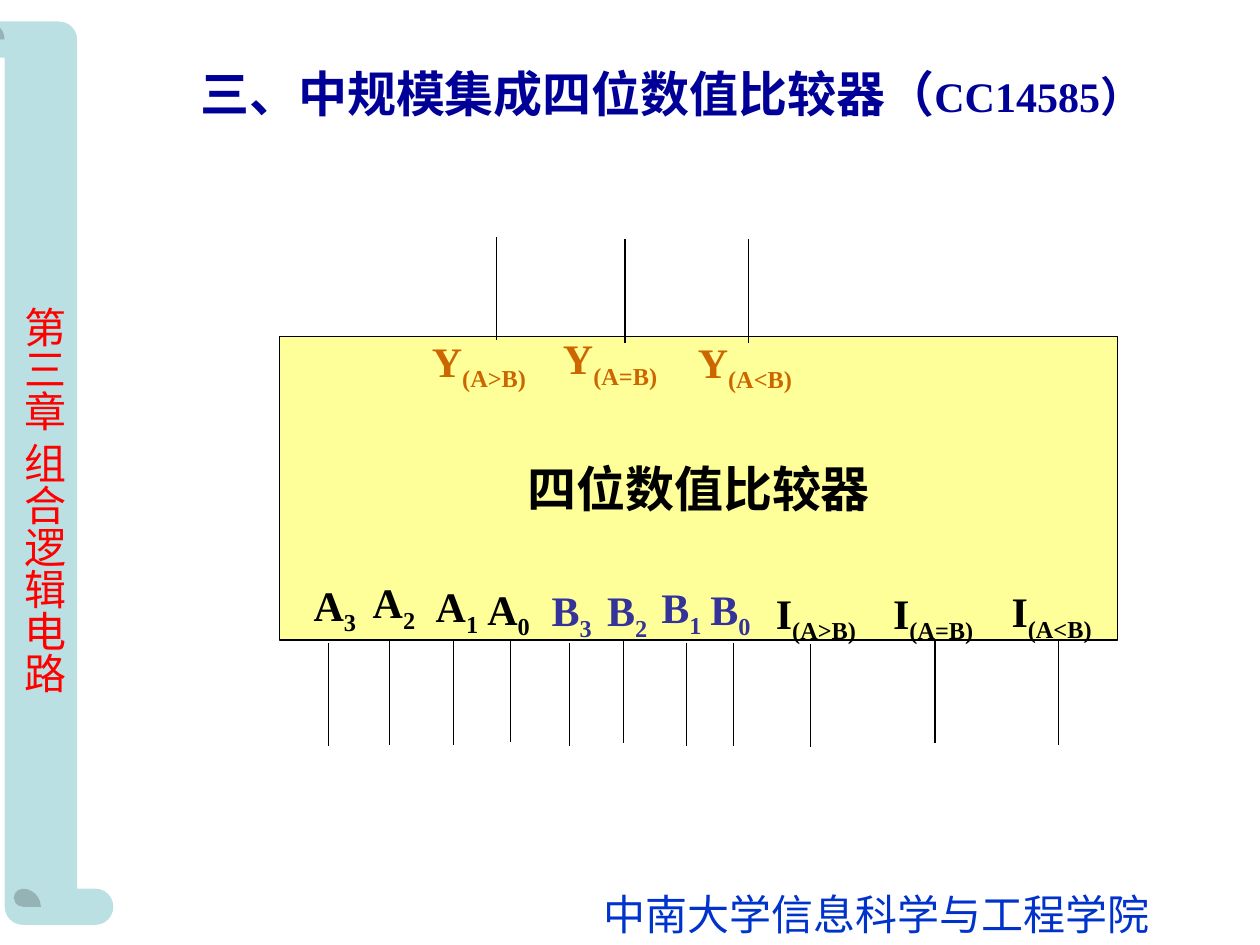
from collections import namedtuple
from dataclasses import dataclass

from pptx import Presentation
from pptx import util as u
from pptx.dml.color import RGBColor
from pptx.enum import shapes, text
from pptx.oxml.ns import qn
from lxml import etree

Box = namedtuple("Box", "left top width height")
Pin = namedtuple("Pin", "letter index label_x label_y lead_x lead_y")


@dataclass(frozen=True)
class Theme:
    latin: str = "Times New Roman"
    cjk: str = "Noto Sans CJK SC"
    scroll: str = "BBE0E3"
    chapter: str = "FF0000"
    school: str = "0033CC"
    title: str = "000099"
    block: str = "FFFF99"
    ink: str = "000000"
    b_input: str = "333399"
    output: str = "CC6600"
    large: int = 28
    normal: int = 24
    line: float = 0.75


THEME = Theme()
PIN_COLOURS = {"A": THEME.ink, "B": THEME.b_input, "I": THEME.ink, "Y": THEME.output}
LEAD_LENGTH = 0.82

# Offsets from the left and bottom edges of the block
INPUTS = [
    Pin("A", "3", 0.17, -0.53, 0.39, 0.02),
    Pin("A", "2", 0.64, -0.55, 0.87, 0.01),
    Pin("A", "1", 1.14, -0.52, 1.38, 0.01),
    Pin("A", "0", 1.55, -0.50, 1.83, -0.01),
    Pin("B", "3", 2.06, -0.49, 2.30, 0.02),
    Pin("B", "2", 2.50, -0.49, 2.73, 0),
    Pin("B", "1", 2.93, -0.51, 3.23, 0.02),
    Pin("B", "0", 3.32, -0.50, 3.60, 0.02),
    Pin("I", "(A>B)", 3.84, -0.47, 4.21, 0.03),
    Pin("I", "(A=B)", 4.77, -0.47, 5.20, 0),
    Pin("I", "(A<B)", 5.71, -0.48, 6.18, 0.01),
]
# Offsets from the left and top edges of the block
OUTPUTS = [
    Pin("Y", "(A>B)", 1.11, -0.06, 1.72, -0.79),
    Pin("Y", "(A=B)", 2.15, -0.08, 2.74, -0.77),
    Pin("Y", "(A<B)", 3.22, -0.05, 3.72, -0.77),
]


def inches(box):
    return [u.Inches(value) for value in box]


def add_run(paragraph, words, size, colour, bold=False, latin=THEME.latin):
    run = paragraph.add_run()
    run.text = words
    run.font.name = latin
    run.font.size = u.Pt(size)
    run.font.bold = bold
    run.font.color.rgb = RGBColor.from_string(colour)
    east_asian = etree.Element(qn("a:ea"), typeface=THEME.cjk)
    run.font._element.find(qn("a:latin")).addnext(east_asian)
    return run


def add_label(slide, box, wrap=True):
    """Add an empty text box and return its frame."""
    frame = slide.shapes.add_textbox(*inches(box)).text_frame
    frame.word_wrap = wrap
    frame.auto_size = text.MSO_AUTO_SIZE.SHAPE_TO_FIT_TEXT
    return frame


def add_chapter_band(slide, box):
    # The scroll is drawn lying down, then turned upright about its centre
    turned = Box(box.left + (box.width - box.height) / 2,
                 box.top + (box.height - box.width) / 2,
                 box.height, box.width)
    scroll = slide.shapes.add_shape(shapes.MSO_SHAPE.HORIZONTAL_SCROLL, *inches(turned))
    scroll.rotation = 270
    scroll.adjustments[0] = 0.25
    scroll.shadow.inherit = False
    scroll.fill.solid()
    scroll.fill.fore_color.rgb = RGBColor.from_string(THEME.scroll)
    scroll.line.fill.background()

    # Vertical chapter name
    chapter = add_label(slide, Box(0, box.top + 2.16, 0.6, 3.27), wrap=False)
    chapter.margin_left = chapter.margin_right = u.Inches(0.05)
    chapter.margin_top = chapter.margin_bottom = u.Inches(0.1)
    chapter._txBody.bodyPr.set("vert", "eaVert")
    add_run(chapter.paragraphs[0], "第三章 组合逻辑电路", THEME.normal, THEME.chapter,
            latin=THEME.cjk)


def add_school(slide, box):
    school = add_label(slide, box, wrap=False)
    add_run(school.paragraphs[0], "中南大学信息科学与工程学院", THEME.normal, THEME.school)


def add_title(slide, box):
    title = slide.shapes.title
    title.left, title.top, title.width, title.height = inches(box)
    frame = title.text_frame
    frame.word_wrap = True
    frame.auto_size = text.MSO_AUTO_SIZE.NONE
    frame.vertical_anchor = text.MSO_ANCHOR.TOP
    heading = frame.paragraphs[0]
    heading.alignment = text.PP_ALIGN.LEFT
    heading.space_before = u.Pt(0)
    add_run(heading, "三、中规模集成四位数值比较器（", THEME.large, THEME.title, bold=True)
    add_run(heading, "CC14585）", THEME.normal, THEME.title, bold=True)


def add_pin(slide, pin, left, edge):
    """Draw one lead and its label against a horizontal edge of the block."""
    x, y = left + pin.lead_x, edge + pin.lead_y
    lead = slide.shapes.add_connector(
        shapes.MSO_CONNECTOR.STRAIGHT, *inches((x, y, x, y + LEAD_LENGTH)))
    lead.line.color.rgb = RGBColor.from_string(THEME.ink)
    lead.line.width = u.Pt(THEME.line)
    etree.SubElement(lead._element.spPr, qn("a:effectLst"))

    width = 0.69 if len(pin.index) == 1 else 1.27
    label = add_label(slide, Box(left + pin.label_x, edge + pin.label_y, width, 0.56))
    name = label.paragraphs[0]
    colour = PIN_COLOURS[pin.letter]
    add_run(name, pin.letter, THEME.normal, colour, bold=True)
    index = add_run(name, pin.index, THEME.normal, colour, bold=True)
    index.font._element.set("baseline", "-25000")


def add_comparator(slide, box):
    block = slide.shapes.add_shape(shapes.MSO_SHAPE.RECTANGLE, *inches(box))
    block.shadow.inherit = False
    block.fill.solid()
    block.fill.fore_color.rgb = RGBColor.from_string(THEME.block)
    block.line.color.rgb = RGBColor.from_string(THEME.ink)
    block.line.width = u.Pt(THEME.line)
    frame = block.text_frame
    frame.word_wrap = False
    frame.vertical_anchor = text.MSO_ANCHOR.MIDDLE
    name = frame.paragraphs[0]
    name.alignment = text.PP_ALIGN.CENTER
    add_run(name, "四位数值比较器", THEME.large, THEME.ink, bold=True)

    # Inputs along the bottom edge, outputs along the top edge
    for pins, edge in ((INPUTS, box.top + box.height), (OUTPUTS, box.top)):
        for pin in pins:
            add_pin(slide, pin, box.left, edge)


def main():
    deck = Presentation()
    deck.slide_width, deck.slide_height = u.Inches(10), u.Inches(7.5)
    slide = deck.slides.add_slide(deck.slide_layouts[5])
    add_chapter_band(slide, Box(-0.25, 0.17, 1.15, 7.17))
    add_school(slide, Box(4.69, 7, 4.53, 0.5))
    add_title(slide, Box(1.49, 0.45, 8.18, 0.57))
    add_comparator(slide, Box(2.22, 2.67, 6.65, 2.41))
    deck.save("out.pptx")


if __name__ == "__main__":
    main()
